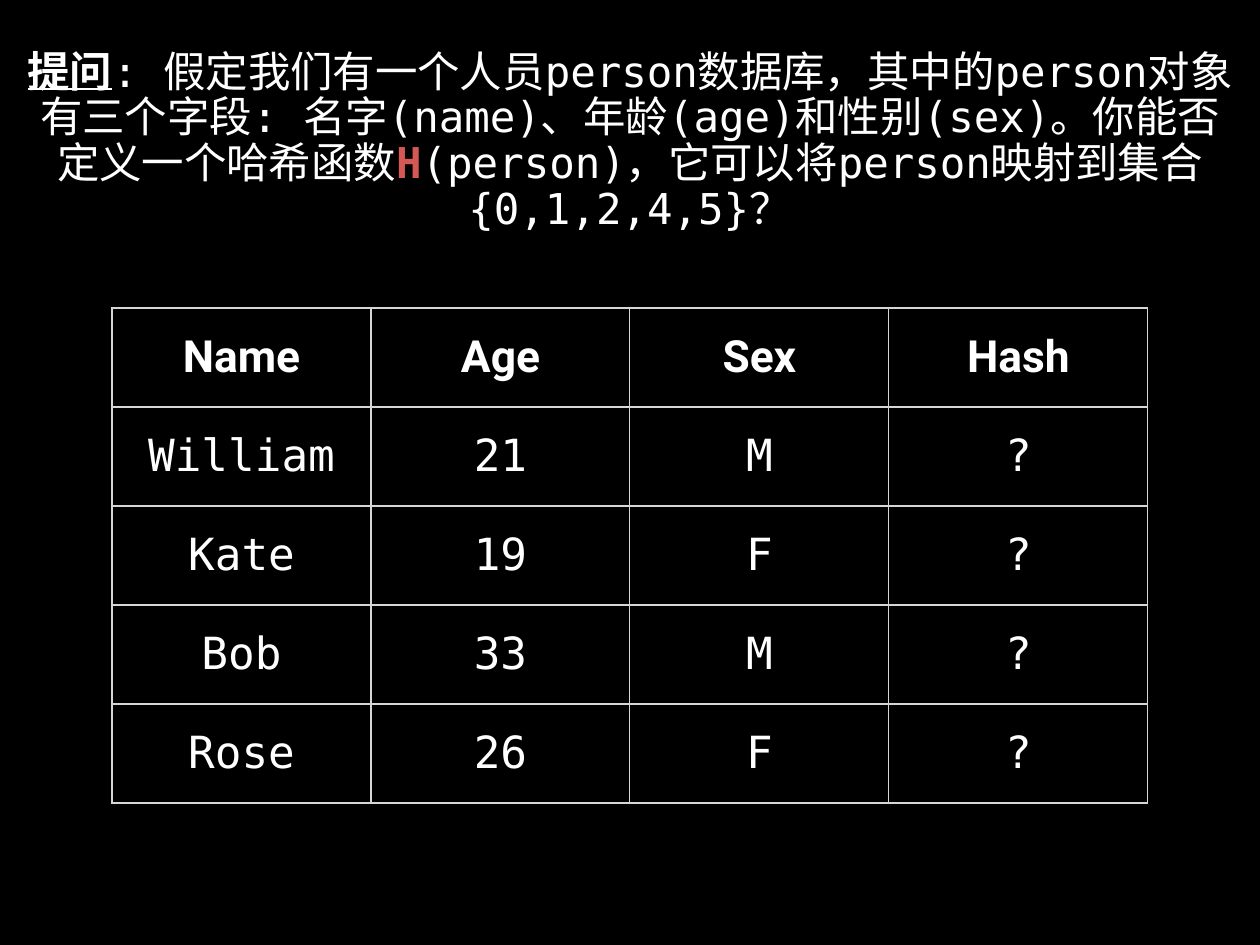
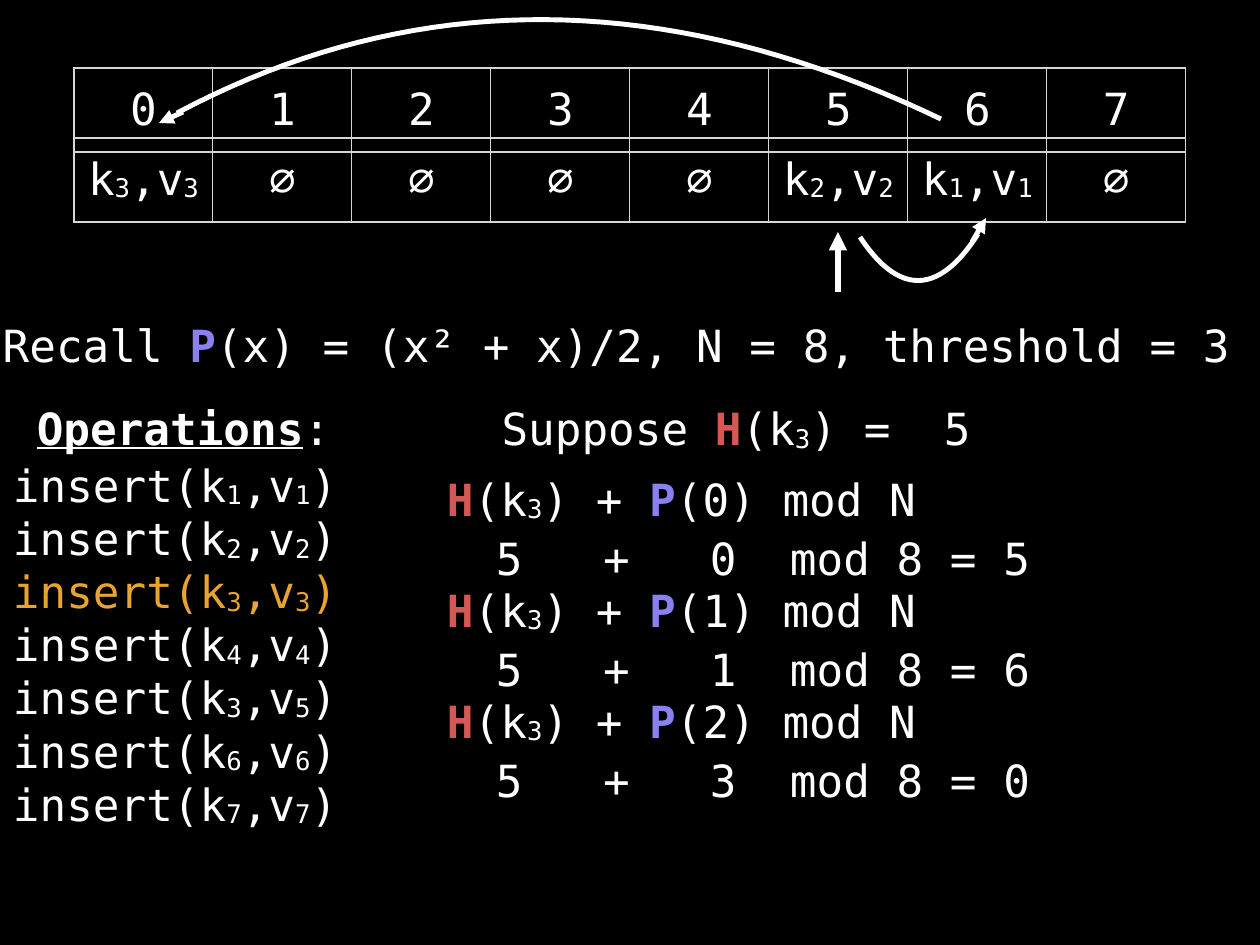
import lxml.etree
import pptx
import pptx.dml.color
import pptx.enum.shapes
import pptx.enum.text
import pptx.oxml.ns
import pptx.util

MONO = "DejaVu Sans Mono"
WHITE = "FFFFFF"
GRID = "D6D6D6"
STYLES = {
    "plain": {},
    "sub": {"base": -6000},
    "hash": {"color": "D45854", "bold": True},
    "probe": {"color": "8981F0", "bold": True},
    "head": {"bold": True, "underline": True},
    "column": {"bold": True, "font": "Roboto"},
    "active": {"color": "E8A432"},
    "active sub": {"color": "E8A432", "base": -6000},
}
CENTER = pptx.enum.text.PP_ALIGN.CENTER
LEFT = pptx.enum.text.PP_ALIGN.LEFT
MIDDLE = pptx.enum.text.MSO_ANCHOR.MIDDLE
TOP = pptx.enum.text.MSO_ANCHOR.TOP


def px(count):
    """Turn pixels into EMU."""
    return pptx.util.Emu(round(count * 10320))


def rgb(code):
    """Turn a hex string into a colour."""
    return pptx.dml.color.RGBColor.from_string(code)


def child(parent, tag, **attributes):
    """Append a drawing element to an XML parent."""
    return lxml.etree.SubElement(parent, pptx.oxml.ns.qn(tag), attributes)


def pair(key, value, style="plain"):
    """Give the runs of a key and value with subscripts."""
    sub = "sub" if style == "plain" else style + " sub"
    return [("k", style), (key, sub), (",v", style), (value, sub)]


def insert(key, value, style="plain"):
    """Give the runs of one insert call."""
    return [("insert(", style), *pair(key, value, style), (")", style)]


def hashed(key):
    """Give the runs of the hash of a key."""
    return [("H", "hash"), ("(k", "plain"), (key, "sub")]


class Painter:
    """Hold the deck style and draw on the current slide."""

    def __init__(self):
        """Open an empty deck."""
        self.deck = pptx.Presentation()
        self.deck.slide_width, self.deck.slide_height = px(1260), px(945)
        self.page = None

    def add_page(self):
        """Start a black slide."""
        self.page = self.deck.slides.add_slide(self.deck.slide_layouts[6])
        self.page.background.fill.solid()
        self.page.background.fill.fore_color.rgb = rgb("000000")

    def add_runs(self, para, runs, size, align):
        """Add styled runs to a paragraph."""
        para.alignment = align
        for text, name in runs:
            style = STYLES[name]
            span = para.add_run()
            span.text = text
            font = span.font
            font.size = pptx.util.Pt(size)
            font.bold = style.get("bold", False)
            font.underline = style.get("underline", False)
            font.color.rgb = rgb(style.get("color", WHITE))
            font.name = style.get("font", MONO)
            properties = span._r.get_or_add_rPr()
            child(properties, "a:ea", typeface=font.name)
            if "base" in style:
                properties.set("baseline", str(style["base"]))

    def pad(self, holder):
        """Set the shared inner margins."""
        holder.margin_left = holder.margin_right = px(5)
        holder.margin_top = holder.margin_bottom = px(5)

    def text(self, place, lines, size=36, align=LEFT, anchor=TOP,
             wrap=False, grow=True, spacing=None, tabs=()):
        """Add a text box with one paragraph per line."""
        box = self.page.shapes.add_textbox(*map(px, place))
        frame = box.text_frame
        self.pad(frame)
        frame.word_wrap = wrap
        frame.vertical_anchor = anchor
        sizes = pptx.enum.text.MSO_AUTO_SIZE
        frame.auto_size = sizes.SHAPE_TO_FIT_TEXT if grow else sizes.NONE
        for index, runs in enumerate(lines):
            para = frame.add_paragraph() if index else frame.paragraphs[0]
            self.add_runs(para, runs, size, align)
            if spacing:
                para.line_spacing = spacing
            if tabs:
                stops = child(para._p.get_or_add_pPr(), "a:tabLst")
                for stop in tabs:
                    child(stops, "a:tab", pos=str(px(stop)), algn="l")

    def table(self, left, top, column_width, row_height, rows):
        """Add an unfilled grid of centred cells."""
        count = len(rows[0])
        grid = self.page.shapes.add_table(
            len(rows), count, px(left), px(top),
            px(column_width * count), px(row_height * len(rows))).table
        grid.first_row = grid.horz_banding = False
        for column in grid.columns:
            column.width = px(column_width)
        for row, entries in zip(grid.rows, rows):
            row.height = px(row_height)
            for cell, runs in zip(row.cells, entries):
                self.pad(cell)
                cell.vertical_anchor = MIDDLE
                self.add_runs(cell.text_frame.paragraphs[0], runs, 36, CENTER)
                properties = cell._tc.get_or_add_tcPr()
                for side in "LRTB":
                    border = child(properties, "a:ln" + side, w="12700")
                    fill = child(border, "a:solidFill")
                    child(fill, "a:srgbClr", val=GRID)
                cell.fill.background()

    def arrow(self, start, end, width=4):
        """Add a straight arrow."""
        line = self.page.shapes.add_connector(
            pptx.enum.shapes.MSO_CONNECTOR.STRAIGHT, *map(px, start + end))
        line.line.color.rgb = rgb(WHITE)
        line.line.width = pptx.util.Pt(width)
        child(line.line._get_or_add_ln(), "a:tailEnd", type="triangle")
        child(line._element.spPr, "a:effectLst")

    def curve(self, *controls):
        """Add an open cubic curve through sampled points."""
        steps = 40
        points = []
        for step in range(steps + 1):
            t = step / steps
            weights = ((1 - t) ** 3, 3 * t * (1 - t) ** 2,
                       3 * t ** 2 * (1 - t), t ** 3)
            points.append(tuple(
                px(sum(weight * value for weight, value in zip(weights, axis)))
                for axis in zip(*controls)))
        builder = self.page.shapes.build_freeform(*points[0])
        builder.add_line_segments(points[1:], close=False)
        shape = builder.convert_to_shape()
        shape.shadow.inherit = False
        shape.fill.background()
        shape.line.color.rgb = rgb(WHITE)
        shape.line.width = pptx.util.Pt(4)


def question_page(painter):
    """Draw the question about hashing people."""
    painter.add_page()
    painter.text((21, 35, 1218, 214), [[
        ("提问", "head"),
        (": 假定我们有一个人员person数据库，其中的person对象有三个字段: "
         "名字(name)、年龄(age)和性别(sex)。你能否定义一个哈希函数", "plain"),
        ("H", "hash"),
        ("(person)，它可以将person映射到集合{0,1,2,4,5}？", "plain"),
    ]], size=34.5, align=CENTER, anchor=MIDDLE, wrap=True, grow=False,
        spacing=0.9)
    people = [("William", "21", "M"), ("Kate", "19", "F"),
              ("Bob", "33", "M"), ("Rose", "26", "F")]
    rows = [[[(name, "column")] for name in ("Name", "Age", "Sex", "Hash")]]
    rows += [[[(value, "plain")] for value in (*person, "?")]
             for person in people]
    painter.table(112, 308, 259, 99, rows)


def probing_page(painter):
    """Draw the quadratic probing step for the third key."""
    painter.add_page()
    slots = [[("∅", "plain")] for slot in range(8)]
    for slot, key in ((0, "3"), (5, "2"), (6, "1")):
        slots[slot] = pair(key, key)
    painter.table(74, 138, 139, 84, [slots])
    painter.table(74, 68, 139, 84,
                  [[[(str(slot), "plain")] for slot in range(8)]])

    painter.arrow((838, 292), (838, 232), width=5)
    painter.curve((978, 234), (939, 295), (899, 296), (860, 237))
    painter.arrow((972, 242), (986, 218))
    painter.curve((941, 119), (668, -12), (414, -13), (177, 113))
    painter.arrow((183, 112), (159, 123))

    painter.text((-61, 315, 1381, 60), [[
        ("Recall ", "plain"), ("P", "probe"),
        ("(x) = (x² + x)/2, N = 8, threshold = 3 ", "plain"),
    ]], align=CENTER, anchor=MIDDLE, wrap=True)
    painter.text((31, 398, 305, 60),
                 [[("Operations", "head"), (":", "plain")]],
                 align=CENTER, anchor=MIDDLE)
    painter.text((495, 398, 482, 60),
                 [[("Suppose ", "plain"), *hashed("3"), (") =  5", "plain")]],
                 align=CENTER, anchor=MIDDLE)

    for probe in range(3):
        offset = (probe * probe + probe) // 2
        shift = 111 * probe
        painter.text((442, 467 + shift, 482, 60), [[
            *hashed("3"), (") + ", "plain"), ("P", "probe"),
            (f"({probe}) mod N", "plain")]])
        result = f"\t5\t+\t{offset}\tmod 8 = {(5 + offset) % 8}"
        painter.text((438, 526 + shift, 620, 60), [[(result, "plain")]],
                     wrap=True, tabs=(53, 160, 267, 347))

    calls = [("1", "1"), ("2", "2"), ("3", "3", "active"), ("4", "4"),
             ("3", "5"), ("6", "6"), ("7", "7")]
    painter.text((8, 453, 367, 363), [insert(*call) for call in calls])


def main():
    """Build and save the deck."""
    painter = Painter()
    question_page(painter)
    probing_page(painter)
    painter.deck.save("out.pptx")


if __name__ == "__main__":
    main()
